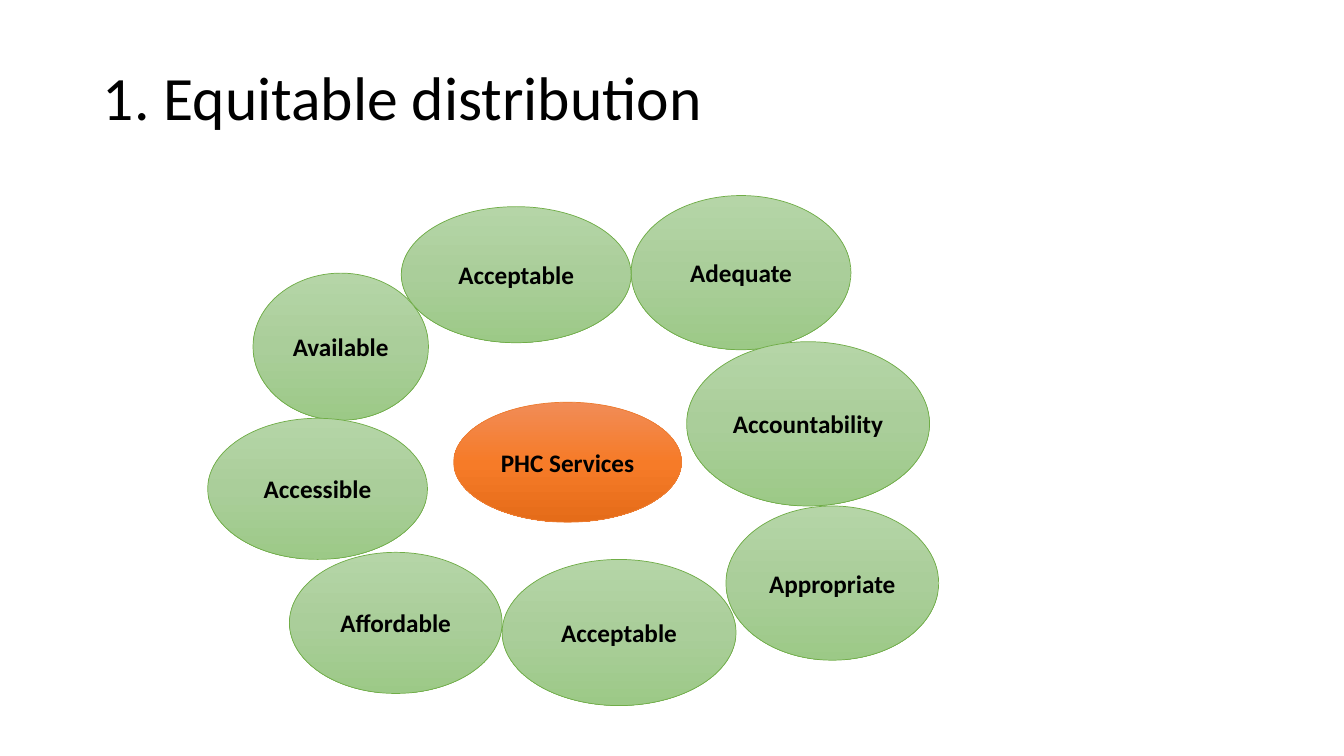
from copy import deepcopy

from pptx import Presentation
from pptx.dml.color import RGBColor
from pptx.enum.shapes import MSO_SHAPE as Shape
from pptx.enum.text import MSO_ANCHOR as Anchor, PP_ALIGN as Align
from pptx.oxml.ns import qn
from pptx.util import Inches, Pt

FONT = "Calibri"
COLORS = {"text": "000000", "quality_line": "70AD47", "center_line": "ED7D31"}
GRADIENTS = {
    "quality": {0: "B5D5A7", 0.5: "AACE9A", 1: "9CC987"},
    "center": {0: "F18C57", 0.5: "F67B28", 1: "E56C19"},
}

# Label, left, top, width, height, role; from back to front
OVALS = [
    ("Available", 2.51, 2.71, 1.74, 1.46, "quality"),
    ("Accessible", 2.06, 4.15, 2.18, 1.4, "quality"),
    ("Affordable", 2.87, 5.48, 2.11, 1.4, "quality"),
    ("Adequate", 6.26, 1.94, 2.18, 1.53, "quality"),
    ("PHC Services", 4.5, 3.99, 2.26, 1.19, "center"),
    ("Acceptable", 3.98, 2.05, 2.28, 1.35, "quality"),
    ("Acceptable", 4.98, 5.55, 2.32, 1.45, "quality"),
    ("Accountability", 6.81, 3.39, 2.41, 1.63, "quality"),
    ("Appropriate", 7.2, 5.02, 2.11, 1.53, "quality"),
]


def set_font(paragraph, size, bold=False):
    font = paragraph.font
    font.name, font.size, font.bold = FONT, Pt(size), bold
    font.color.rgb = RGBColor.from_string(COLORS["text"])


def fill_gradient(shape, stops):
    """Fill from top to bottom, with one gradient stop per entry."""
    shape.fill.gradient()
    shape.fill.gradient_angle = 270
    stop_list = next(shape.element.iter(qn("a:gsLst")))
    while len(stop_list) < len(stops):
        stop_list.append(deepcopy(stop_list[0]))
    for stop, (position, color) in zip(shape.fill.gradient_stops, stops.items()):
        stop.position = position
        stop.color.rgb = RGBColor.from_string(color)


def add_title(slide, text):
    title = slide.shapes.title
    title.left, title.top = Inches(0.92), Inches(0.27)
    title.width, title.height = Inches(11.5), Inches(1.45)
    frame = title.text_frame
    frame.text = text
    frame.vertical_anchor = Anchor.MIDDLE
    heading = frame.paragraphs[0]
    heading.alignment = Align.LEFT
    heading.line_spacing = 0.9
    set_font(heading, 44)


def add_oval(ring, label, left, top, width, height, role):
    oval = ring.shapes.add_shape(
        Shape.OVAL, Inches(left), Inches(top), Inches(width), Inches(height))
    oval.shadow.inherit = False
    fill_gradient(oval, GRADIENTS[role])
    oval.line.color.rgb = RGBColor.from_string(COLORS[role + "_line"])
    oval.line.width = Pt(0.5)
    frame = oval.text_frame
    frame.margin_left = frame.margin_right = Inches(0.05)
    frame.vertical_anchor = Anchor.MIDDLE
    frame.text = label
    caption = frame.paragraphs[0]
    caption.alignment = Align.CENTER
    set_font(caption, 18, bold=True)


def main():
    deck = Presentation()
    deck.slide_width, deck.slide_height = Inches(13.33), Inches(7.5)
    slide = deck.slides.add_slide(deck.slide_layouts[5])
    add_title(slide, "1. Equitable distribution")

    # Qualities grouped around the services
    ring = slide.shapes.add_group_shape()
    for oval in OVALS:
        add_oval(ring, *oval)

    deck.save("out.pptx")


if __name__ == "__main__":
    main()
